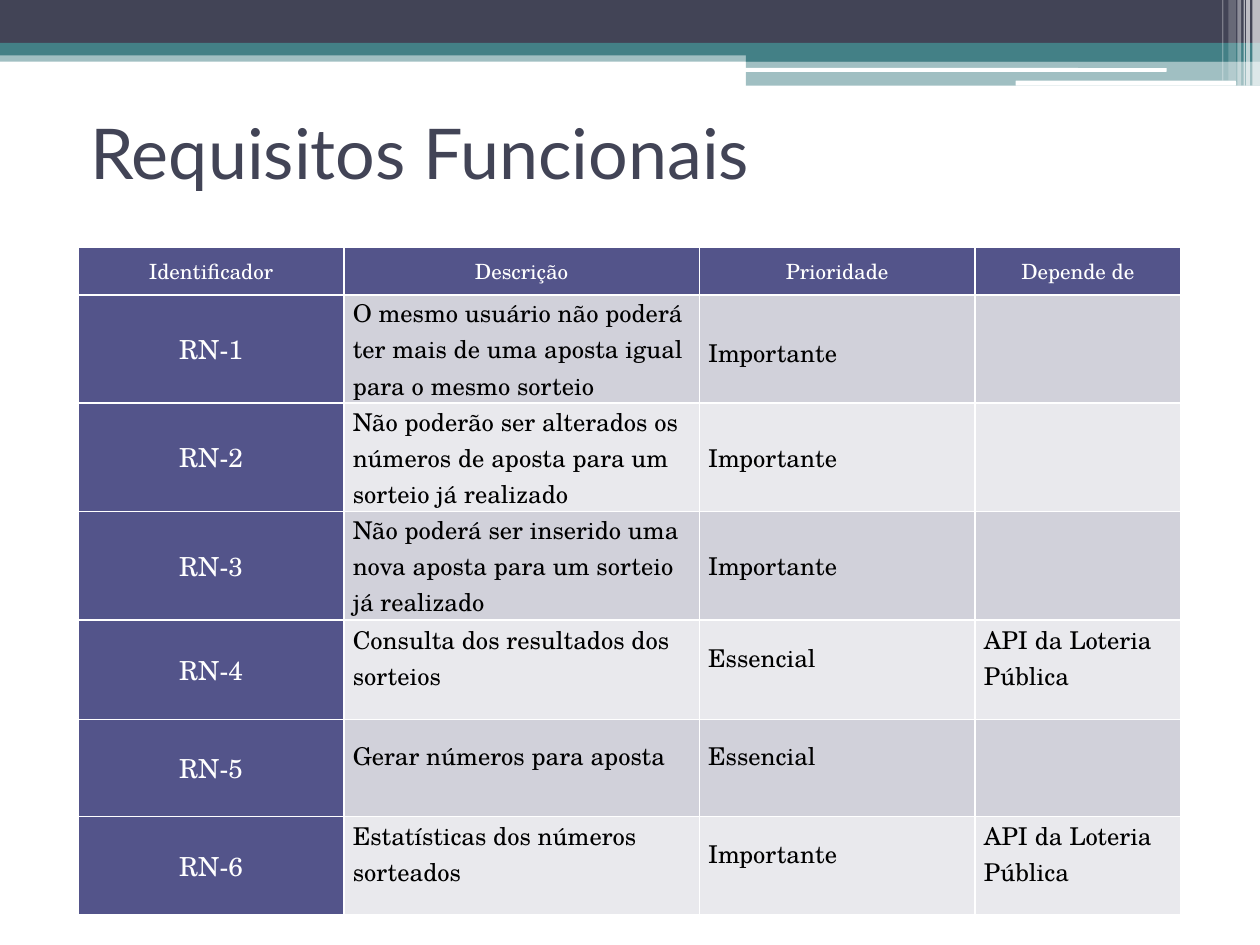
import pptx
import pptx.util
import pptx.dml.color
import pptx.enum.shapes
import pptx.enum.text
from lxml import etree

Inches = pptx.util.Inches
Pt = pptx.util.Pt
ALIGN = pptx.enum.text.PP_ALIGN
MIDDLE = pptx.enum.text.MSO_ANCHOR.MIDDLE
SHAPES = pptx.enum.shapes.MSO_SHAPE

NAVY, TEAL, WHITE, BLACK = "424456", "438086", "FFFFFF", "000000"
INDIGO, BANDS = "53548A", ("D1D1DA", "E9E9ED")
TITLE_FONT, TABLE_FONT = "Lato", "TeX Gyre Schola"

# left, top, width, height, colour, opacity in percent
BANNER = [
    (0, 0.4, 10, 0.09, TEAL, 50),
    (0, 0, 10, 0.34, NAVY, 100),
    (0, 0.34, 10, 0.1, TEAL, 100),
    (5.92, 0.39, 4.08, 0.1, TEAL, 100),
    (5.92, 0.48, 4.08, 0.2, TEAL, 50),
]
ROUNDED_LINES = [
    (5.91, 0.54, 3.35, 0.03, WHITE, 100),
    (8.06, 0.64, 1.75, 0.04, WHITE, 100),
]
# left, width, height, opacity in percent
STRIPES = [
    (9.94, 0.06, 0.68, 65),
    (9.89, 0.03, 0.68, 65),
    (9.87, 0.01, 0.68, 60),
    (9.82, 0.03, 0.68, 40),
    (9.75, 0.06, 0.64, 20),
    (9.7, 0.01, 0.64, 30),
]

TITLE = "Requisitos Funcionais"
HEADER = ("Identificador", "Descrição", "Prioridade", "Depende de")
REQUIREMENTS = [
    ("O mesmo usuário não poderá ter mais de uma aposta igual para o mesmo sorteio", "Importante", ""),
    ("Não poderão ser alterados os números de aposta para um sorteio já realizado", "Importante", ""),
    ("Não poderá ser inserido uma nova aposta para um sorteio já realizado", "Importante", ""),
    ("Consulta dos resultados dos sorteios", "Essencial", "API da Loteria Pública"),
    ("Gerar números para aposta", "Essencial", ""),
    ("Estatísticas dos números sorteados", "Importante", "API da Loteria Pública"),
]
COLUMN_WIDTHS = (2.11, 2.82, 2.19, 1.63)
ROW_HEIGHTS = (0.38, 0.86, 0.86, 0.86, 0.79, 0.77, 0.78)
FIRST_RAISED_ROW = 4  # from here on, body text sits above the middle


def rgb(value):
    return pptx.dml.color.RGBColor.from_string(value)


def add_bar(page, kind, left, top, width, height, colour, opacity):
    bar = page.shapes.add_shape(kind, Inches(left), Inches(top), Inches(width), Inches(height))
    bar.shadow.inherit = False
    bar.line.fill.background()
    bar.fill.solid()
    bar.fill.fore_color.rgb = rgb(colour)
    if opacity < 100:
        tint = bar.fill._xPr.find(".//" + pptx.oxml.ns.qn("a:srgbClr"))
        etree.SubElement(tint, pptx.oxml.ns.qn("a:alpha"), val=str(opacity * 1000))


def set_borders(cell):
    """Give the cell white borders of 1 point."""
    properties = cell._tc.get_or_add_tcPr()
    for place, side in enumerate("LRTB"):
        line = etree.Element(pptx.oxml.ns.qn("a:ln" + side), w=str(Pt(1)))
        fill = etree.SubElement(line, pptx.oxml.ns.qn("a:solidFill"))
        etree.SubElement(fill, pptx.oxml.ns.qn("a:srgbClr"), val=WHITE)
        properties.insert(place, line)


def fill_cell(cell, text, row, column):
    heading = row == 0 or column == 0
    cell.fill.solid()
    cell.fill.fore_color.rgb = rgb(INDIGO if heading else BANDS[(row - 1) % 2])
    set_borders(cell)
    cell.vertical_anchor = MIDDLE
    cell.margin_left = cell.margin_right = Inches(0.07)
    cell.margin_top = cell.margin_bottom = 0
    if not text:
        return
    if row >= FIRST_RAISED_ROW and not heading:
        cell.margin_bottom = Inches(0.19)
    para = cell.text_frame.paragraphs[0]
    para.text = text
    para.alignment = ALIGN.CENTER if heading else ALIGN.LEFT
    if (row, column) == (1, 2):
        para.line_spacing = 1.2
        para.space_before = Pt(6)
    para.font.name = TABLE_FONT
    para.font.size = Pt(12 if row == 0 else 15 if column == 0 else 14)
    para.font.bold = False
    para.font.color.rgb = rgb(WHITE if heading else BLACK)


def add_title(page):
    box = page.shapes.add_textbox(Inches(0.62), Inches(0.7), Inches(8.5), Inches(1))
    box.text_frame.word_wrap = True
    box.text_frame.vertical_anchor = MIDDLE
    para = box.text_frame.paragraphs[0]
    para.text = TITLE
    para.font.name = TITLE_FONT
    para.font.size = Pt(40)
    para.font.color.rgb = rgb(NAVY)


def add_requirements(page):
    rows = [HEADER]
    rows += [(f"RN-{number}", *entry) for number, entry in enumerate(REQUIREMENTS, 1)]
    table = page.shapes.add_table(
        len(rows), len(HEADER), Inches(0.62), Inches(1.96),
        Inches(sum(COLUMN_WIDTHS)), Inches(sum(ROW_HEIGHTS))).table
    for column, width in zip(table.columns, COLUMN_WIDTHS):
        column.width = Inches(width)
    for row, height in zip(table.rows, ROW_HEIGHTS):
        row.height = Inches(height)
    for r, texts in enumerate(rows):
        for c, text in enumerate(texts):
            fill_cell(table.cell(r, c), text, r, c)


def main():
    deck = pptx.Presentation()
    deck.slide_width, deck.slide_height = Inches(10), Inches(7.5)
    page = deck.slides.add_slide(deck.slide_layouts[6])
    for bar in BANNER:
        add_bar(page, SHAPES.RECTANGLE, *bar)
    for bar in ROUNDED_LINES:
        add_bar(page, SHAPES.ROUNDED_RECTANGLE, *bar)
    for left, width, height, opacity in STRIPES:
        add_bar(page, SHAPES.RECTANGLE, left, 0, width, height, WHITE, opacity)
    add_requirements(page)
    add_title(page)
    deck.save("out.pptx")


if __name__ == "__main__":
    main()
